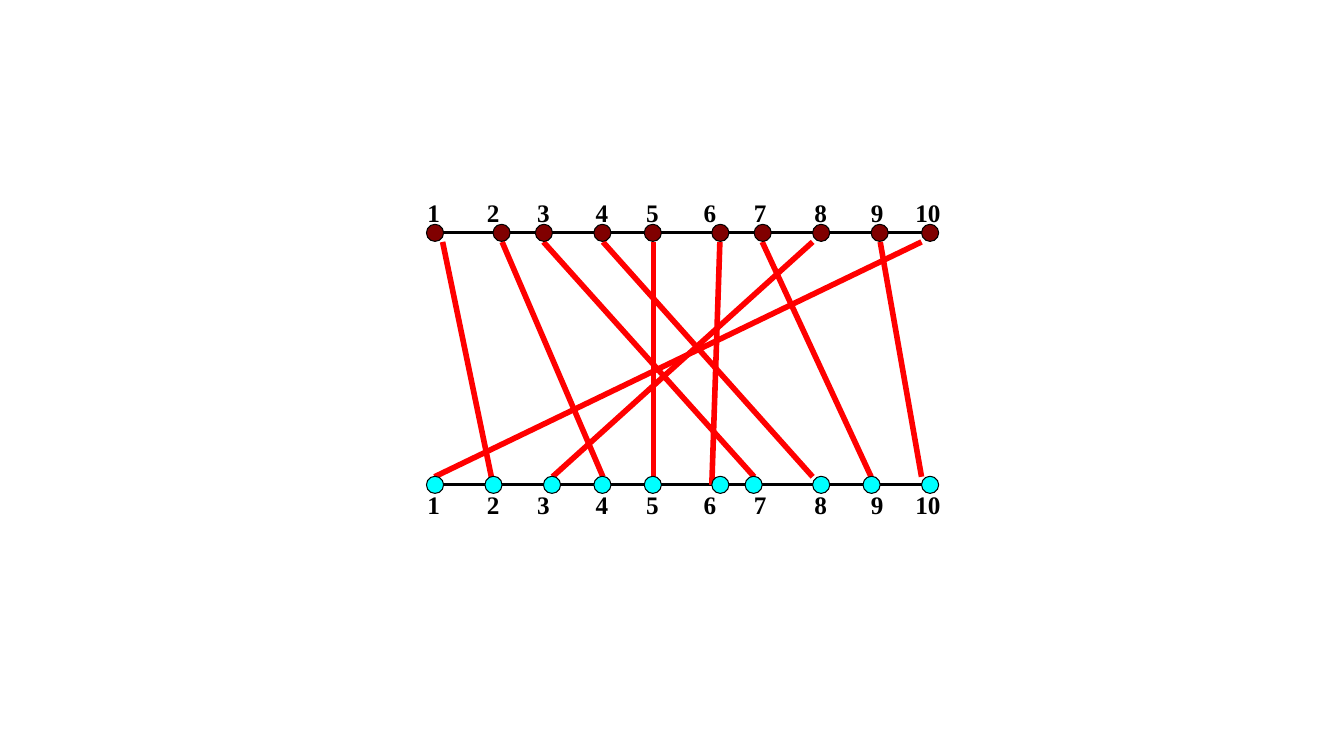
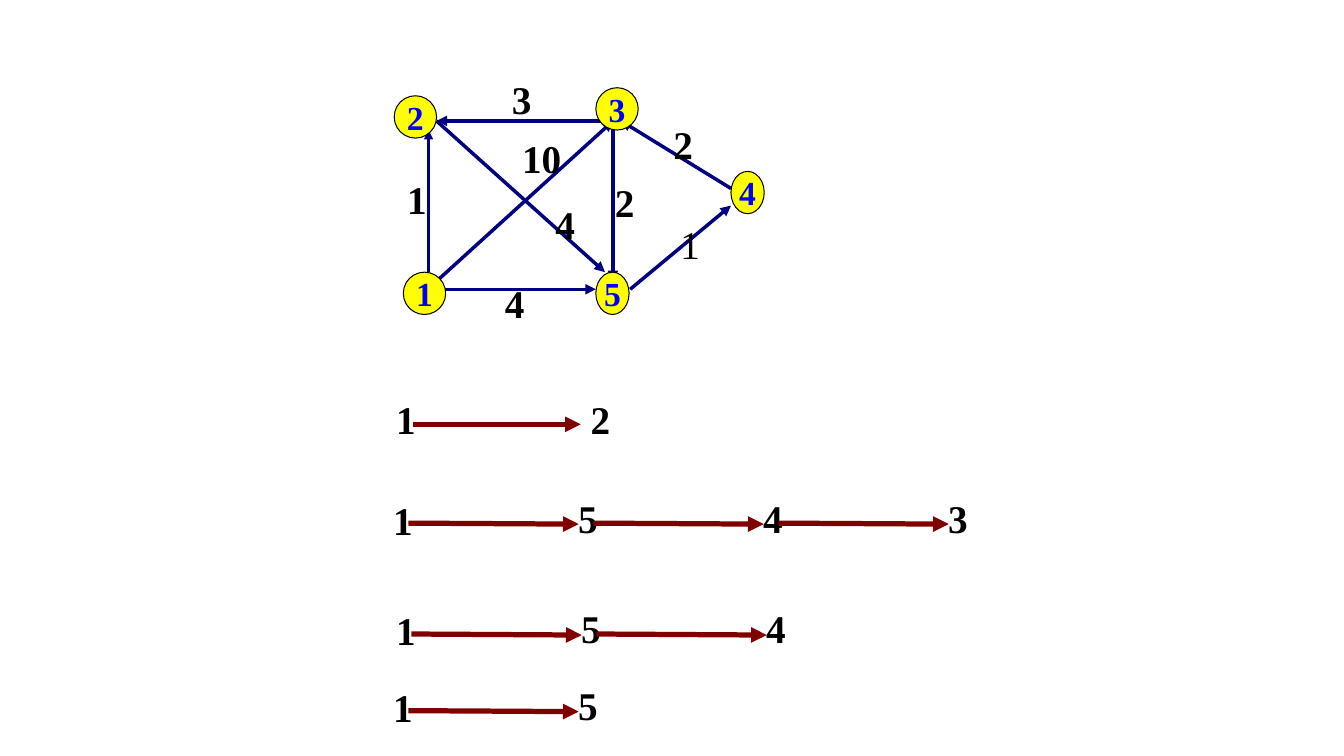
"""Build two slides: a matching between two numbered rows, and a weighted graph with its shortest paths."""
from dataclasses import dataclass
from typing import NamedTuple, Union

from lxml import etree
from pptx import Presentation
from pptx.dml.color import RGBColor
from pptx.enum.shapes import MSO_CONNECTOR, MSO_SHAPE
from pptx.enum.text import MSO_ANCHOR, MSO_AUTO_SIZE, PP_ALIGN
from pptx.oxml.ns import qn
from pptx.shapes.shapetree import GroupShapes, SlideShapes
from pptx.slide import Slide
from pptx.text.text import TextFrame
from pptx.util import Inches, Pt

STRAIGHT = MSO_CONNECTOR.STRAIGHT
OVAL = MSO_SHAPE.OVAL
MIDDLE = MSO_ANCHOR.MIDDLE
GROW = MSO_AUTO_SIZE.SHAPE_TO_FIT_TEXT
CENTER = PP_ALIGN.CENTER
BLANK_LAYOUT = 6

COLORS = {
    "black": "000000",
    "red": "FF0000",
    "maroon": "800000",
    "cyan": "00FFFF",
    "navy": "000080",
    "blue": "0000FF",
    "yellow": "FFFF00",
}
FONT = {"name": "Times New Roman", "bold": True}
Shapes = Union[SlideShapes, GroupShapes]


class Segment(NamedTuple):
    x1: float
    y1: float
    x2: float
    y2: float


class Label(NamedTuple):
    text: str
    left: float
    top: float
    bold: bool = True


class Node(NamedTuple):
    text: str
    left: float
    top: float
    width: float = 0.42
    height: float = 0.42


class Row(NamedTuple):
    line_y: float
    label_top: float
    color: str
    dot_lefts: tuple[float, ...]


@dataclass(frozen=True)
class Chain:
    labels: str
    left: float
    top: float
    step: float = 1.835
    arrow_offset: float = 0.25
    arrow_length: float = 1.69
    arrow_drop: float = 0.01
    first_drop: float = 0.02


DOT = 0.17
ROW_ENDS = (4.31, 9.23)
LABEL_LEFTS = (4.14, 4.73, 5.23, 5.81, 6.31, 6.88, 7.38, 7.98, 8.54, 8.98)
ROWS = (
    Row(2.31, 1.91, "maroon", (4.23, 4.89, 5.31, 5.89, 6.39, 7.06, 7.48, 8.06, 8.64, 9.14)),
    Row(4.81, 4.81, "cyan", (4.23, 4.81, 5.39, 5.89, 6.39, 7.06, 7.39, 8.06, 8.56, 9.14)),
)
LINK_TOP, LINK_BOTTOM = 2.4, 4.73
MATCHES = (
    Segment(4.39, LINK_TOP, 4.89, 4.81),
    Segment(4.98, LINK_TOP, 5.98, LINK_BOTTOM),
    Segment(5.39, LINK_TOP, 7.48, LINK_BOTTOM),
    Segment(5.98, LINK_TOP, 8.06, LINK_BOTTOM),
    Segment(6.48, LINK_TOP, 6.48, LINK_BOTTOM),
    Segment(7.14, LINK_TOP, 7.06, 4.81),
    Segment(7.56, LINK_TOP, 8.64, LINK_BOTTOM),
    Segment(8.06, LINK_TOP, 5.48, LINK_BOTTOM),
    Segment(8.73, LINK_TOP, 9.14, LINK_BOTTOM),
    Segment(9.14, LINK_TOP, 4.31, LINK_BOTTOM),
)

EDGES = (
    (Segment(6, 1.2, 4.33, 1.2), 2.5),
    (Segment(4.25, 2.7, 4.25, 1.29), 2.25),
    (Segment(4.33, 2.79, 6.08, 1.2), 2.5),
    (Segment(4.33, 2.87, 5.91, 2.87), 2.5),
    (Segment(4.33, 1.2, 6, 2.7), 2.5),
    (Segment(6.08, 1.29, 6.08, 2.79), 2.5),
    (Segment(7.25, 1.87, 6.16, 1.2), 2.5),
    (Segment(6.25, 2.87, 7.25, 2.04), 2.5),
)
NODES = (
    Node("2", 3.91, 0.95),
    Node("3", 5.91, 0.87),
    Node("1", 4, 2.7),
    Node("5", 5.91, 2.7, 0.33),
    Node("4", 7.25, 1.7, 0.33),
)
WEIGHTS = (
    Label("3", 4.98, 0.7),
    Label("1", 3.94, 1.69),
    Label("10", 5.08, 1.28),
    Label("2", 6.58, 1.14),
    Label("1", 6.65, 2.14, False),
    Label("4", 5.41, 1.94),
    Label("2", 6, 1.72),
    Label("4", 4.91, 2.72),
)
CHAINS = (
    Chain("12", 3.83, 3.87, 1.93, 0.27, 1.66, 0, 0),
    Chain("1543", 3.8, 4.85),
    Chain("154", 3.83, 5.95),
    Chain("15", 3.8, 6.71),
)


def rgb(color: str) -> RGBColor:
    """Look up a named colour."""
    return RGBColor.from_string(COLORS[color])


def write_text(frame: TextFrame, text: str, size: float, color: str, bold: bool = True) -> None:
    """Write one unwrapped run in the shared font."""
    frame.word_wrap = False
    run = frame.paragraphs[0].add_run()
    run.text = text
    for attribute, value in {**FONT, "size": Pt(size), "bold": bold}.items():
        setattr(run.font, attribute, value)
    run.font.color.rgb = rgb(color)


def draw_line(shapes: Shapes, segment: Segment, color: str, width: float, arrow: bool = False) -> None:
    """Draw a straight line, with an arrowhead at its end if asked."""
    connector = shapes.add_connector(STRAIGHT, *(Inches(length) for length in segment))
    connector.line.width = Pt(width)
    connector.line.color.rgb = rgb(color)
    if arrow:
        line = connector.line._get_or_add_ln()
        etree.SubElement(line, qn("a:tailEnd"), type="triangle")
    etree.SubElement(connector._element.spPr, qn("a:effectLst"))


def draw_label(shapes: Shapes, label: Label, size: float) -> None:
    """Draw a number whose box fits its text."""
    width = size / 72 * len(label.text) / 2 + 0.2
    height = size / 72 * 1.2 + 0.1
    box = shapes.add_textbox(*(Inches(length) for length in (label.left, label.top, width, height)))
    write_text(box.text_frame, label.text, size, "black", label.bold)
    box.text_frame.auto_size = GROW


def draw_node(shapes: Shapes, node: Node, color: str) -> None:
    """Draw an outlined ellipse with an optional centred number."""
    shape = shapes.add_shape(OVAL, *(Inches(length) for length in node[1:]))
    shape.shadow.inherit = False
    shape.fill.solid()
    shape.fill.fore_color.rgb = rgb(color)
    shape.line.color.rgb = rgb("black")
    shape.line.width = Pt(0.75)
    if node.text:
        write_text(shape.text_frame, node.text, 24, "blue")
        shape.text_frame.vertical_anchor = MIDDLE
        shape.text_frame.paragraphs[0].alignment = CENTER


def draw_chain(shapes: Shapes, chain: Chain) -> None:
    """Draw a path as numbers joined by arrows."""
    for index, text in enumerate(chain.labels):
        left = chain.left + index * chain.step
        top = chain.top + (chain.first_drop if index == 0 else 0)
        draw_label(shapes, Label(text, left, top), 28)
        if index < len(chain.labels) - 1:
            start, arrow_y = left + chain.arrow_offset, chain.top + 0.34
            arrow = Segment(start, arrow_y, start + chain.arrow_length, arrow_y + chain.arrow_drop)
            draw_line(shapes, arrow, "maroon", 3.75, True)


def build_matching(slide: Slide) -> None:
    """Draw two numbered rows and the links between them."""
    for row in ROWS:
        draw_line(slide.shapes, Segment(ROW_ENDS[0], row.line_y, ROW_ENDS[1], row.line_y), "black", 2)
        for number, left in enumerate(LABEL_LEFTS, start=1):
            draw_label(slide.shapes, Label(str(number), left, row.label_top), 18)
    for match in MATCHES:
        draw_line(slide.shapes, match, "red", 4)
    for row in ROWS:
        for left in row.dot_lefts:
            draw_node(slide.shapes, Node("", left, row.line_y - DOT / 2, DOT, DOT), row.color)


def build_paths(slide: Slide) -> None:
    """Draw the weighted graph and the shortest paths below it."""
    for edge, width in EDGES:
        draw_line(slide.shapes, edge, "navy", width, True)
    graph = slide.shapes.add_group_shape()
    for node in NODES:
        draw_node(graph.shapes, node, "yellow")
    for weight in WEIGHTS:
        draw_label(graph.shapes, weight, 28)
    for chain in CHAINS:
        draw_chain(slide.shapes.add_group_shape().shapes, chain)


def main() -> None:
    """Build and save the presentation."""
    presentation = Presentation()
    presentation.slide_width = Inches(13.33)
    presentation.slide_height = Inches(7.5)
    for build in (build_matching, build_paths):
        build(presentation.slides.add_slide(presentation.slide_layouts[BLANK_LAYOUT]))
    presentation.save("out.pptx")


if __name__ == "__main__":
    main()
